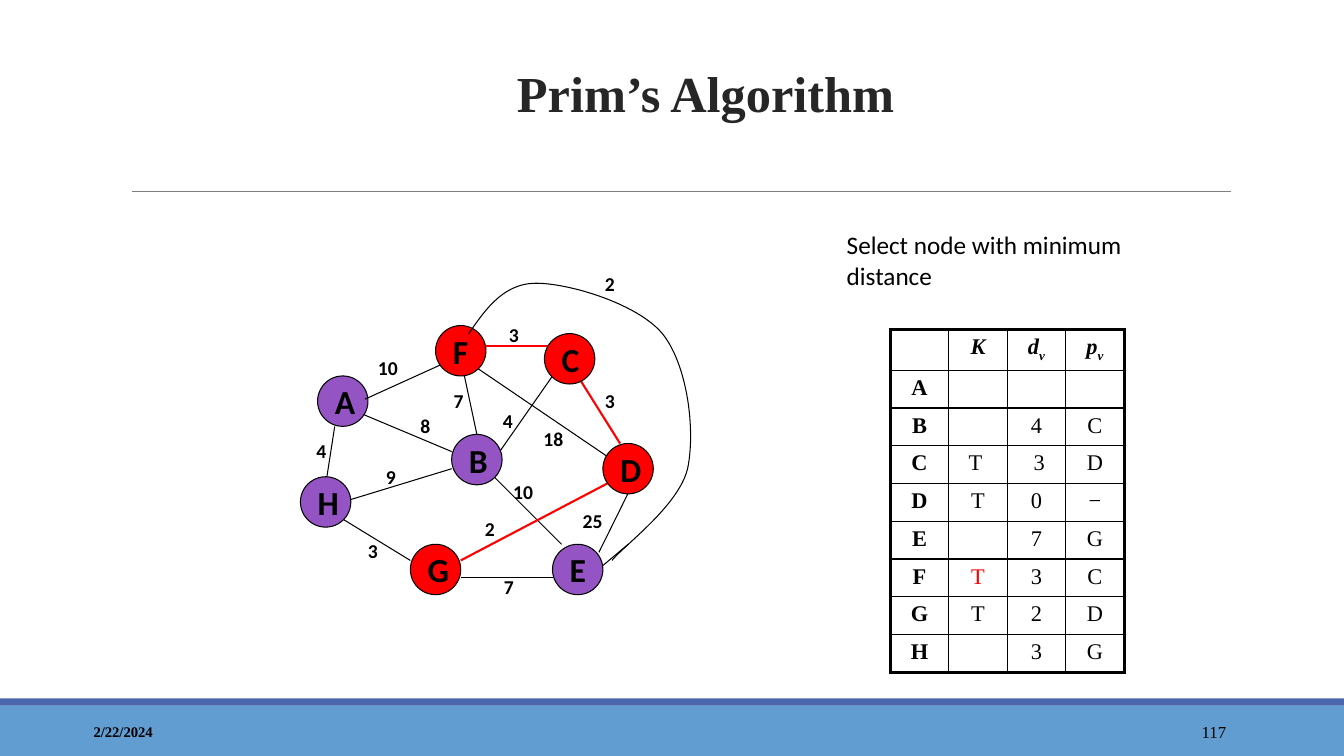
from lxml.etree import SubElement
from pptx import Presentation
from pptx.dml.color import RGBColor
from pptx.enum.shapes import MSO_CONNECTOR, MSO_SHAPE
from pptx.enum.text import MSO_ANCHOR, PP_ALIGN
from pptx.oxml.ns import qn
from pptx.util import Inches, Pt

COLORS = {"black": "000000", "red": "FF0000", "purple": "9454C3", "title": "262626",
          "rule": "7F7F7F", "footer": "629DD1", "stripe": "4A66AC"}
SERIF, SANS = "Times New Roman", "Calibri"

NODES = {"A": (3.15, 3.73), "H": (2.98, 4.73), "B": (4.48, 4.31), "F": (4.32, 3.23),
         "E": (5.48, 5.4), "D": (5.98, 4.4), "C": (5.4, 3.31), "G": (4.07, 5.4)}
SELECTED = "FCDG"
EDGES = [(6.35, 4.65, 5.94, 5.48), (4.57, 3.56, 4.73, 4.31), (4.9, 4.56, 5.48, 3.73),
         (6.07, 4.56, 4.73, 3.65), (3.4, 4.98, 4.48, 4.65), (3.23, 4.81, 3.32, 4.23),
         (3.48, 4.06, 4.48, 4.48), (4.9, 4.73, 5.57, 5.4), (5.48, 5.73, 4.57, 5.73),
         (4.07, 5.56, 3.4, 5.15)]
TREE_EDGES = [(4.57, 5.56, 6.15, 4.73), (4.78, 3.43, 5.57, 3.43), (5.73, 3.73, 6.15, 4.4)]
TOP_EDGES = [(3.62, 3.96, 4.37, 3.62), (6.23, 5.4, 5.98, 5.61)]
WEIGHTS = [("4", 3.04, 4.31), ("25", 5.68, 5), ("7", 4.9, 5.65), ("2", 4.71, 5.08),
           ("10", 4.99, 4.71), ("18", 5.29, 4.19), ("3", 5.9, 3.81), ("4", 4.89, 4.01),
           ("3", 4.95, 3.15), ("7", 4.4, 3.81), ("8", 4.07, 4.06), ("9", 3.73, 4.56),
           ("3", 3.55, 5.3), ("10", 3.65, 3.48), ("2", 5.9, 2.65)]
F_TO_E = [(4.65, 3.31), (4.82, 3.06), (5, 2.81), (5.32, 2.81), (5.64, 2.81),
          (6.32, 3.01), (6.57, 3.31), (6.82, 3.62), (6.9, 4.27), (6.82, 4.65),
          (6.73, 5.02), (6.19, 5.41), (6.07, 5.56)]
ROWS = [("", "K", "dv", "pv"), ("A", "", "", ""), ("B", "", "4", "C"),
        ("C", "T ", " 3", "D"), ("D", "T", "0", "−"), ("E", "", "7", "G"),
        ("F", "T", "3", "C"), ("G", "T", "2", "D"), ("H", "", "3", "G")]


def rgb(name):
    """Return the named colour."""
    return RGBColor.from_string(COLORS[name])


def style(p, size, face, color="black", bold=False, italic=False):
    """Set the font of a paragraph."""
    f = p.font
    f.size, f.name, f.bold, f.italic = Pt(size), face, bold, italic
    f.color.rgb = rgb(color)


def add_text(s, text, box, size, face, color="black", bold=False,
             align=PP_ALIGN.LEFT, anchor=MSO_ANCHOR.TOP):
    """Add a wrapped text box and return its paragraph."""
    tf = s.shapes.add_textbox(*map(Inches, box)).text_frame
    tf.word_wrap, tf.vertical_anchor = True, anchor
    p = tf.paragraphs[0]
    p.text, p.alignment = text, align
    style(p, size, face, color, bold)
    return p


def add_bar(s, top, height, color):
    """Add a full-width bar."""
    sp = s.shapes.add_shape(MSO_SHAPE.RECTANGLE, 0, Inches(top), Inches(13.33), Inches(height))
    sp.shadow.inherit = False
    sp.fill.solid()
    sp.fill.fore_color.rgb = rgb(color)
    sp.line.fill.background()


def add_line(s, ends, color="black", width=0.75):
    """Add a straight line between two points."""
    c = s.shapes.add_connector(MSO_CONNECTOR.STRAIGHT, *map(Inches, ends))
    c.line.color.rgb, c.line.width = rgb(color), Pt(width)
    SubElement(c._element.spPr, qn("a:effectLst"))


def add_node(s, name, left, top):
    """Add a graph node, red when it is selected."""
    sp = s.shapes.add_shape(MSO_SHAPE.OVAL, *map(Inches, (left, top, 0.5, 0.5)))
    sp.shadow.inherit = False
    sp.fill.solid()
    sp.fill.fore_color.rgb = rgb("red" if name in SELECTED else "purple")
    sp.line.color.rgb, sp.line.width = rgb("black"), Pt(0.75)
    tf = sp.text_frame
    tf.vertical_anchor = MSO_ANCHOR.MIDDLE
    p = tf.paragraphs[0]
    p.text, p.alignment = name, PP_ALIGN.LEFT
    style(p, 24, SANS, bold=True)


def bezier(a, b, c, d, t):
    """Return the point at t on a cubic curve."""
    u = 1 - t
    return tuple(Inches(u**3 * i + 3 * u * u * t * j + 3 * u * t * t * k + t**3 * m)
                 for i, j, k, m in zip(a, b, c, d))


def add_curve(s, controls, steps=24):
    """Add an open curve through joined cubic segments."""
    points = [bezier(*controls[i:i + 4], n / steps)
              for i in range(0, len(controls) - 1, 3) for n in range(1, steps + 1)]
    start = map(Inches, controls[0])
    builder = s.shapes.build_freeform(*start)
    builder.add_line_segments(points, close=False)
    sp = builder.convert_to_shape()
    sp.shadow.inherit = False
    sp.fill.background()
    sp.line.color.rgb, sp.line.width = rgb("black"), Pt(0.75)


def set_borders(cell, widths):
    """Draw black borders with a width for each side."""
    tc_pr = cell._tc.get_or_add_tcPr()
    for i, (side, width) in enumerate(widths.items()):
        ln = tc_pr.makeelement(qn(f"a:ln{side}"), {"w": str(Pt(width))})
        fill = SubElement(ln, qn("a:solidFill"))
        SubElement(fill, qn("a:srgbClr"), val=COLORS["black"])
        tc_pr.insert(i, ln)


def fill_cell(cell, text, row, col):
    """Write one table cell."""
    p = cell.text_frame.paragraphs[0]
    p.alignment = PP_ALIGN.CENTER
    if not text:
        p._p.get_or_add_endParaRPr().set("sz", "1600")
        return
    header = row == 0
    p.add_run().text = text[0] if header else text
    if header and len(text) > 1:
        r = p.add_run()
        r.text = text[1:]
        r.font._element.set("baseline", "-25000")
    color = "red" if (ROWS[row][0], col) == ("F", 1) else "black"
    style(p, 16, SERIF, color, header or col == 0, header)


def add_distance_table(s):
    """Add the table of K, distance and predecessor."""
    n_rows, n_cols = len(ROWS), len(ROWS[0])
    table = s.shapes.add_table(n_rows, n_cols, *map(Inches, (8.83, 3.27, 2.32, 3.37))).table
    table.first_row = table.horz_banding = False
    for col in table.columns:
        col.width = Inches(0.58)
    for i, values in enumerate(ROWS):
        for j, text in enumerate(values):
            cell = table.cell(i, j)
            fill_cell(cell, text, i, j)
            cell.fill.background()
            outer = {"L": j == 0, "R": j == n_cols - 1, "T": i == 0, "B": i == n_rows - 1}
            set_borders(cell, {side: 2.25 if edge else 1 for side, edge in outer.items()})


def add_graph(s):
    """Add the weighted graph."""
    for ends in EDGES:
        add_line(s, ends)
    for ends in TREE_EDGES:
        add_line(s, ends, "red", 1.5)
    for name, (left, top) in NODES.items():
        add_node(s, name, left, top)
    for ends in TOP_EDGES:
        add_line(s, ends)
    add_curve(s, F_TO_E)
    for text, left, top in WEIGHTS:
        width = 0.33 if len(text) == 1 else 0.52
        add_text(s, text, (left, top, width, 0.33), 14, SANS, bold=True)


def main():
    """Build and save the slide."""
    prs = Presentation()
    prs.slide_width, prs.slide_height = Inches(13.33), Inches(7.5)
    s = prs.slides.add_slide(prs.slide_layouts[6])
    add_bar(s, 7, 0.5, "footer")
    add_bar(s, 6.93, 0.07, "stripe")
    add_line(s, (1.31, 1.9, 12.21, 1.9), "rule")
    title = add_text(s, "Prim’s Algorithm", (1.5, 0.21, 11, 1.06), 36, SERIF, "title", True,
                     PP_ALIGN.CENTER, MSO_ANCHOR.BOTTOM)
    title.line_spacing = 1.1
    add_text(s, "2/22/2024", (0.83, 7.06, 3, 0.4), 10.5, SERIF, bold=True,
             anchor=MSO_ANCHOR.MIDDLE)
    add_text(s, "117", (10.83, 7.06, 1.43, 0.4), 12, SERIF, align=PP_ALIGN.RIGHT,
             anchor=MSO_ANCHOR.MIDDLE)
    add_text(s, "Select node with minimum distance", (8.3, 2.23, 3.17, 0.77), 18, SANS)
    add_distance_table(s)
    add_graph(s)
    prs.save("out.pptx")


if __name__ == "__main__":
    main()
